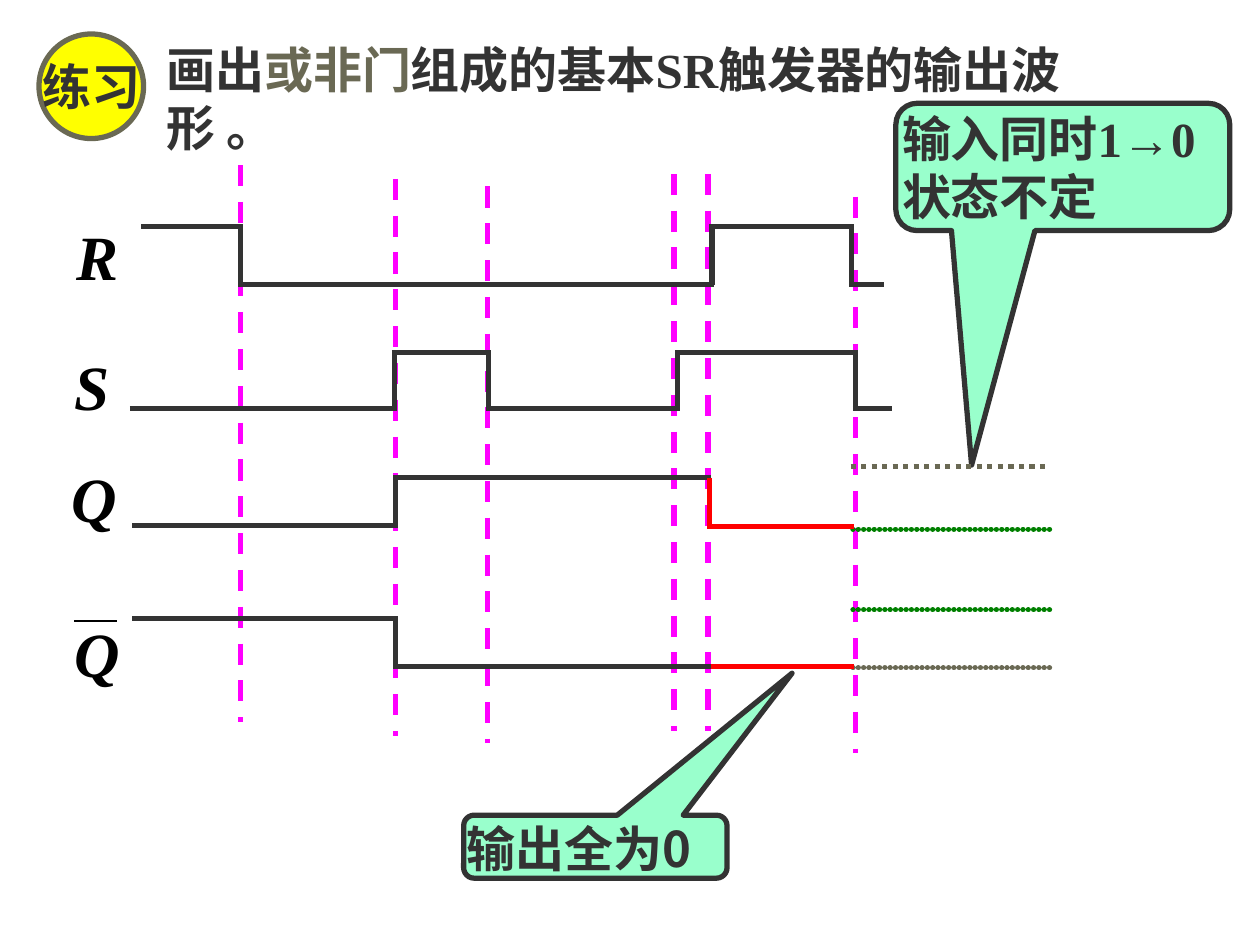
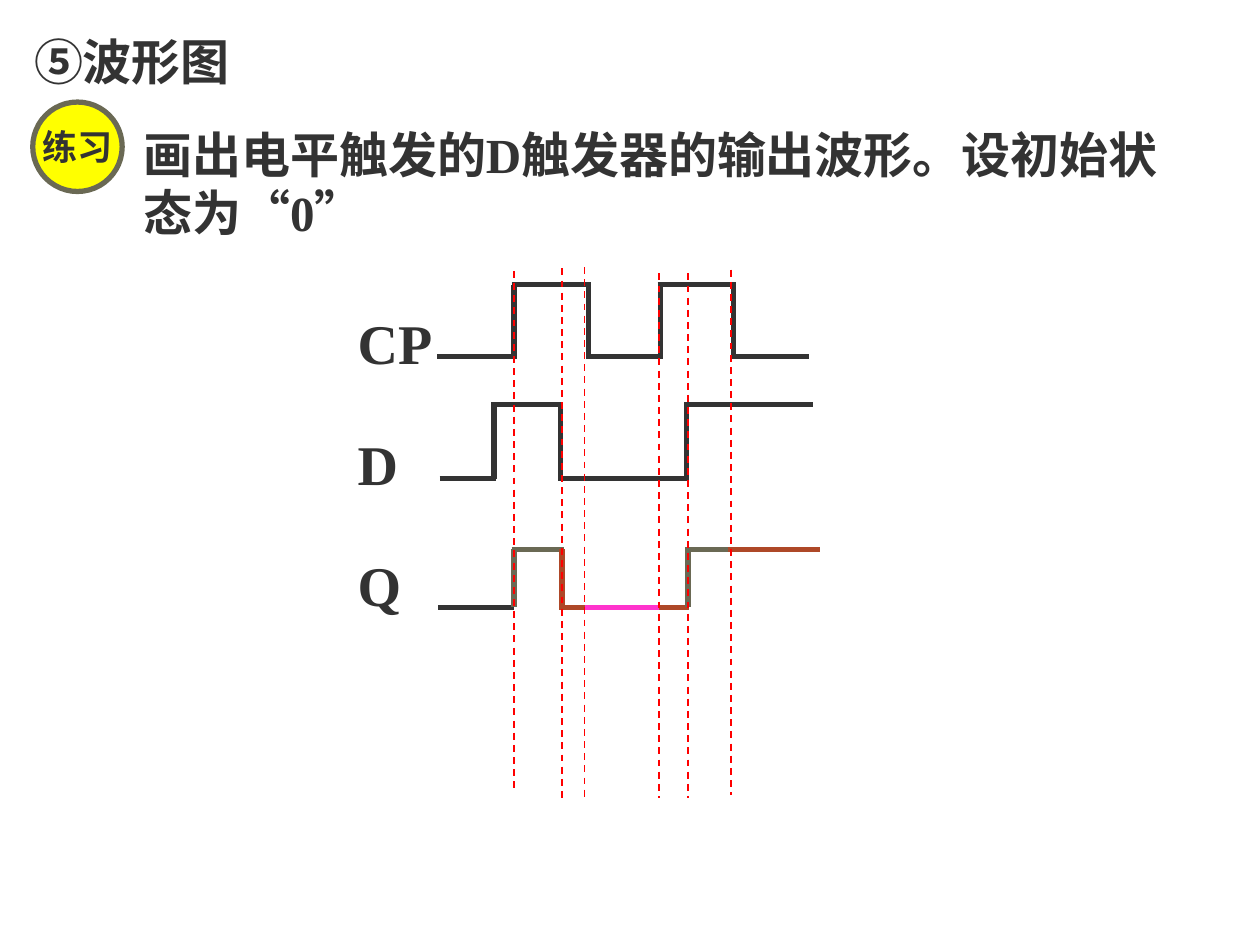
from dataclasses import dataclass
from itertools import pairwise

from lxml import etree
from pptx import Presentation
from pptx.dml.color import RGBColor
from pptx.enum.dml import MSO_LINE
from pptx.enum.shapes import MSO_CONNECTOR, MSO_SHAPE
from pptx.enum.text import MSO_ANCHOR, MSO_AUTO_SIZE, PP_ALIGN
from pptx.oxml.ns import qn
from pptx.util import Inches, Pt

STRAIGHT = MSO_CONNECTOR.STRAIGHT
ELLIPSE = MSO_SHAPE.OVAL
CALLOUT = MSO_SHAPE.ROUNDED_RECTANGULAR_CALLOUT
TOP, MIDDLE = MSO_ANCHOR.TOP, MSO_ANCHOR.MIDDLE
LEFT, CENTER, JUSTIFY = PP_ALIGN.LEFT, PP_ALIGN.CENTER, PP_ALIGN.JUSTIFY
DASH, SQUARE_DOTS = MSO_LINE.DASH, MSO_LINE.ROUND_DOT
TITLE_ONLY = 5

SERIF, SANS = "Times New Roman", "Noto Sans CJK SC"
INK, BLACK, OLIVE, RUST = "333333", "000000", "6A6954", "AE4828"
RED, GREEN, MAGENTA, PINK = "FF0000", "008000", "FF00FF", "FF33CC"
YELLOW, MINT = "FFFF00", "99FFCC"

# The page is a grid of 100 columns by 75 rows; every length counts cells.
COLUMNS, ROWS = 100, 75
CELL = Inches(0.1)
OVERLAP = 0.2
PADDING = (1, 0.5)
NO_PADDING = (0, 0)
TEXT_SIZE = 28
LINE_PITCH = 1.18


@dataclass(frozen=True)
class Area:
    left: float
    top: float
    width: float
    height: float

    def lengths(self):
        return [cells(n) for n in (self.left, self.top, self.width, self.height)]


@dataclass(frozen=True)
class Span:
    text: str
    color: str = INK
    size: float = TEXT_SIZE
    font: str = SERIF
    italic: bool = False


@dataclass(frozen=True)
class Wave:
    """A signal toggling at each inner column between its first and last."""
    high: float
    low: float
    starts_high: bool
    columns: tuple
    color: str = INK


@dataclass(frozen=True)
class Guide:
    column: float
    top: float
    bottom: float


@dataclass(frozen=True)
class Callout:
    area: Area
    tip: tuple
    span: Span
    spacing: float | None = None


def cells(count: float) -> int:
    return round(count * CELL)


def rgb(color: str) -> RGBColor:
    return RGBColor.from_string(color)


def line_height(size: float = TEXT_SIZE):
    """Fixed line height for text that mixes Latin and Chinese fonts."""
    return Pt(size * LINE_PITCH)


def add_span(para, span: Span) -> None:
    run = para.add_run()
    run.text = span.text
    font = run.font
    font.name, font.size, font.bold = span.font, Pt(span.size), True
    font.italic = span.italic
    font.color.rgb = rgb(span.color)
    east_asian = etree.SubElement(run._r.get_or_add_rPr(), qn("a:ea"))
    east_asian.set("typeface", SANS)


def fill_frame(frame, paragraphs, padding=PADDING, align=LEFT, anchor=TOP,
               wrap=True, gap=0, spacing=None) -> None:
    frame.word_wrap = wrap
    frame.auto_size = MSO_AUTO_SIZE.NONE
    frame.vertical_anchor = anchor
    frame.margin_left = frame.margin_right = cells(padding[0])
    frame.margin_top = frame.margin_bottom = cells(padding[1])
    for index, spans in enumerate(paragraphs):
        para = frame.add_paragraph() if index else frame.paragraphs[0]
        para.alignment = align
        para.line_spacing = spacing
        para.space_before = Pt(gap if index else 0)
        for span in spans:
            add_span(para, span)


def add_text(page, area: Area, paragraphs, **layout) -> None:
    box = page.shapes.add_textbox(*area.lengths())
    fill_frame(box.text_frame, paragraphs, **layout)


def set_title(page, area: Area, spans, **layout) -> None:
    title = page.shapes.title
    title.left, title.top, title.width, title.height = area.lengths()
    fill_frame(title.text_frame, [spans], spacing=line_height(), **layout)


def add_line(page, start, end, color: str, width: float = 3, dash=None):
    line = page.shapes.add_connector(STRAIGHT, *map(cells, (*start, *end)))
    line.line.color.rgb = rgb(color)
    line.line.width = Pt(width)
    if dash:
        line.line.dash_style = dash
    etree.SubElement(line._element.spPr, qn("a:effectLst"))
    return line


def add_beaded_line(page, start, end, color: str) -> None:
    """Draw a line of touching round dots."""
    stroke = add_line(page, start, end, color)._element.spPr.find(qn("a:ln"))
    stroke.set("cap", "rnd")
    dots = etree.SubElement(stroke, qn("a:custDash"))
    etree.SubElement(dots, qn("a:ds"), d="1000", sp="100000")


def add_wave(page, wave: Wave) -> None:
    is_high = wave.starts_high
    stretches = list(pairwise(wave.columns))
    for index, (left, right) in enumerate(stretches):
        level = wave.high if is_high else wave.low
        if left < right:
            add_line(page, (left - OVERLAP, level), (right + OVERLAP, level), wave.color)
        if index < len(stretches) - 1:
            add_line(page, (right, wave.high), (right, wave.low), wave.color)
        is_high = not is_high


def add_guides(page, guides, color: str, width: float) -> None:
    for guide in guides:
        add_line(page, (guide.column, guide.top), (guide.column, guide.bottom),
                 color, width, DASH)


def add_figure(page, kind, area: Area, fill: str, edge: str):
    figure = page.shapes.add_shape(kind, *area.lengths())
    figure.shadow.inherit = False
    figure.fill.solid()
    figure.fill.fore_color.rgb = rgb(fill)
    figure.line.color.rgb = rgb(edge)
    figure.line.width = Pt(3)
    return figure


def add_badge(page, left: float, top: float, diameter: float, text_size: float) -> None:
    badge = add_figure(page, ELLIPSE, Area(left, top, diameter, diameter), YELLOW, OLIVE)
    fill_frame(badge.text_frame, [[Span("练习", size=text_size)]], padding=NO_PADDING,
               align=CENTER, anchor=MIDDLE, wrap=False, spacing=line_height(text_size))


def add_callout(page, callout: Callout) -> None:
    bubble = add_figure(page, CALLOUT, callout.area, MINT, INK)
    bubble.adjustments[0], bubble.adjustments[1] = callout.tip
    fill_frame(bubble.text_frame, [[callout.span]], padding=NO_PADDING,
               spacing=callout.spacing)


def build_sr_page(deck) -> None:
    page = deck.slides.add_slide(deck.slide_layouts[TITLE_ONLY])
    set_title(page, Area(12.2, 2.7, 76.8, 10.4),
              [Span("画出"), Span("或非门", OLIVE), Span("组成的基本SR触发器的输出波形 。")])

    guide_height = 44.2
    guide_tops = {19.1: 13.1, 31.4: 14.2, 38.7: 14.8, 53.5: 13.8, 56.2: 13.8, 67.9: 15.6}
    add_guides(page, [Guide(column, top, top + guide_height)
                      for column, top in guide_tops.items()], MAGENTA, 3)

    callouts = [
        Callout(Area(36.8, 64.7, 20.9, 5), (0.747, -2.754), Span("输出全为0", font=SANS)),
        Callout(Area(71.1, 8.2, 26.5, 10.1), (-0.273, 2.343),
                Span("输入同时1→0状态不定"), line_height()),
    ]
    for callout in callouts:
        add_callout(page, callout)

    add_line(page, (67.5, 37), (83.3, 37), OLIVE, dash=SQUARE_DOTS)
    for row, color in ((42, GREEN), (48.4, GREEN), (53, OLIVE)):
        add_beaded_line(page, (67.7, row), (83.4, row), color)

    waves = [
        Wave(18, 22.6, True, (11.4, 19.1, 56.5, 67.6, 70)),
        Wave(28, 32.4, False, (10.5, 31.3, 38.8, 53.8, 67.9, 70.6)),
        Wave(37.9, 41.7, False, (10.7, 31.4, 56.2)),
        Wave(37.9, 41.8, True, (56.3, 56.3, 67.6), RED),
        Wave(49.1, 52.9, True, (10.7, 31.4, 56.4)),
        Wave(49.1, 52.9, False, (56.6, 67.6), RED),
    ]
    for wave in waves:
        add_wave(page, wave)

    add_badge(page, 3.1, 2.7, 8.3, TEXT_SIZE)
    add_line(page, (5.9, 49.3), (9.3, 49.3), BLACK, 1.5)
    for letter, left, top in (("R", 6.1, 17.3), ("S", 5.9, 27.6),
                              ("Q", 5.7, 36.5), ("Q", 5.9, 48.8)):
        add_text(page, Area(left, top, 3.6, 6), [[Span(letter, BLACK, 36, italic=True)]],
                 padding=NO_PADDING, wrap=False)


def build_d_page(deck) -> None:
    page = deck.slides.add_slide(deck.slide_layouts[TITLE_ONLY])
    set_title(page, Area(2.7, 2.6, 46.3, 4.7), [Span("⑤波形图")],
              padding=NO_PADDING, align=JUSTIFY)
    add_text(page, Area(10.4, 9.5, 86.2, 10.4),
             [[Span("画出电平触发的D触发器的输出波形。设初始状态为“0”")]],
             spacing=line_height())
    add_text(page, Area(27.4, 24.6, 8.1, 25),
             [[Span(name, size=32)] for name in ("CP", "D", "Q")], gap=34.5, spacing=0.9)

    q_high, q_low = 43.6, 48.2
    waves = [
        Wave(22.6, 28.3, False, (34.9, 40.8, 46.7, 52.4, 58.2, 64)),
        Wave(32.1, 38, False, (35.1, 39.2, 44.5, 54.5, 64.3)),
        Wave(q_high, q_low, False, (35, 40.6)),
        Wave(q_high, q_low, False, (40.8, 40.8, 44.6), OLIVE),
        Wave(q_high, q_low, True, (44.6, 44.6, 46.4), RUST),
        Wave(q_high, q_low, False, (46.6, 52.3), PINK),
        Wave(q_high, q_low, False, (52.5, 54.5), RUST),
        Wave(q_high, q_low, False, (54.6, 54.6, 57.7), OLIVE),
        Wave(q_high, q_low, True, (58, 64.9), RUST),
    ]
    for wave in waves:
        add_wave(page, wave)

    add_badge(page, 2.6, 8.1, 7.1, 20)
    add_guides(page, [
        Guide(40.8, 21.5, 62.9), Guide(44.6, 21.3, 63.5), Guide(46.4, 21.2, 63.5),
        Guide(52.3, 21.7, 63.3), Guide(54.6, 21.7, 63.3), Guide(58, 21.4, 63.1),
    ], RED, 1)


def main() -> None:
    deck = Presentation()
    deck.slide_width, deck.slide_height = cells(COLUMNS), cells(ROWS)
    build_sr_page(deck)
    build_d_page(deck)
    deck.save("out.pptx")


if __name__ == "__main__":
    main()
